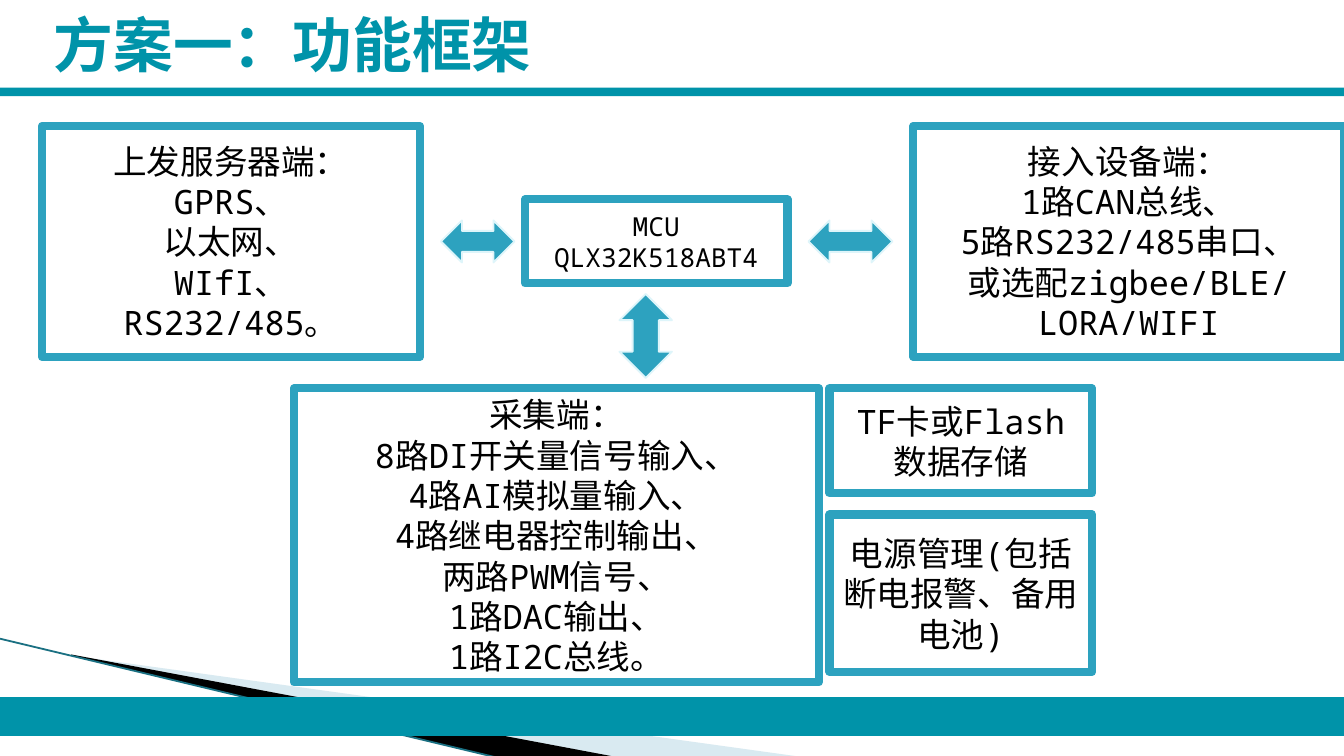
from typing import NamedTuple

from lxml.etree import SubElement
from pptx import Presentation
from pptx.dml.color import RGBColor
from pptx.enum.shapes import MSO_CONNECTOR as Link, MSO_SHAPE as Kind
from pptx.enum.text import MSO_ANCHOR as Anchor, MSO_AUTO_SIZE as Fit, PP_ALIGN as Align
from pptx.oxml.ns import qn
from pptx.util import Inches, Pt

WIDE, HIGH = Inches(10), Inches(5.625)
COLS, ROWS = 128, 72
TEAL = RGBColor(0x00, 0x93, 0xA9)
BLUE = RGBColor(0x2D, 0xA2, 0xBF)
PALE = RGBColor(0xDE, 0xF5, 0xFA)
MIST = RGBColor(0xA0, 0xCB, 0xDC)
EDGE = RGBColor(0x1A, 0x70, 0x82)
BLACK = RGBColor(0, 0, 0)
WHITE = RGBColor(255, 255, 255)


class Area(NamedTuple):
    """A place on the grid, in columns and rows."""
    col: float
    row: float
    cols: float
    rows: float

    def emu(self) -> list[int]:
        return [int(n) for n in (self.col * WIDE / COLS, self.row * HIGH / ROWS,
                                 self.cols * WIDE / COLS, self.rows * HIGH / ROWS)]


class Box(NamedTuple):
    area: Area
    text: str
    size: int = 18


class Arrow(NamedTuple):
    area: Area
    kind: Kind


class Wedge(NamedTuple):
    """Corner points in inches, with fill and opacity in percent."""
    points: list[tuple[float, float]]
    color: RGBColor
    alpha: int


WEDGES = [
    Wedge([(0.55, 4.88), (5.95, 5.63), (4.56, 5.63)], MIST, 40),
    Wedge([(0.53, 4.87), (4.57, 5.63), (3.72, 5.64), (0.54, 4.88)], BLACK, 100),
]
BARS = [Area(0, 8.35, COLS, 0.8), Area(0, 66.4, COLS, 3.7)]
BOXES = [
    Box(Area(50, 19, 25, 8), "MCU\nQLX32K518ABT4", 14),
    Box(Area(79, 49, 25, 15), "电源管理(包括断电报警、备用电池)"),
    Box(Area(79, 37, 25, 10), "TF卡或Flash数据存储"),
    Box(Area(4, 12, 36, 22), "上发服务器端：\nGPRS、\n以太网、\nWIfI、\nRS232/485。"),
    Box(Area(87, 12, 41, 22),
        "接入设备端：\n1路CAN总线、\n5路RS232/485串口、\n或选配zigbee/BLE/LORA/WIFI"),
    Box(Area(28, 37, 50, 28),
        "采集端：\n8路DI开关量信号输入、\n4路AI模拟量输入、\n4路继电器控制输出、\n"
        "两路PWM信号、\n1路DAC输出、\n1路I2C总线。"),
]
ARROWS = [
    Arrow(Area(42, 21, 7, 4), Kind.LEFT_RIGHT_ARROW),
    Arrow(Area(77, 21, 8, 4), Kind.LEFT_RIGHT_ARROW),
    Arrow(Area(59, 28, 5, 8), Kind.UP_DOWN_ARROW),
]


def paint(shape, fill: RGBColor, line: RGBColor | None = None, width: float = 1) -> None:
    shape.shadow.inherit = False
    shape.fill.solid()
    shape.fill.fore_color.rgb = fill
    if line is None:
        shape.line.fill.background()
    else:
        shape.line.color.rgb = line
        shape.line.width = Pt(width)


def add_wedge(slide, wedge: Wedge) -> None:
    start, *rest = [(Inches(x), Inches(y)) for x, y in wedge.points]
    pen = slide.shapes.build_freeform(*start)
    pen.add_line_segments(rest, close=True)
    shape = pen.convert_to_shape()
    paint(shape, wedge.color)
    if wedge.alpha < 100:
        color = shape._element.spPr.find(qn("a:solidFill"))[0]
        SubElement(color, qn("a:alpha"), val=str(wedge.alpha * 1000))


def add_edge(slide) -> None:
    """Draw the thin line along the corner wedges."""
    edge = slide.shapes.add_connector(
        Link.STRAIGHT, Inches(-0.01), Inches(4.75), Inches(3.71), Inches(5.64))
    edge.line.color.rgb = EDGE
    edge.line.width = Pt(0.95)
    SubElement(edge._element.spPr, qn("a:effectLst"))


def set_title(slide, text: str) -> None:
    title = slide.shapes.title
    title.left, title.top, title.width, title.height = Area(5.1, 1.4, 98.8, 6.4).emu()
    frame = title.text_frame
    frame.text = text
    frame.auto_size = Fit.NONE
    frame.vertical_anchor = Anchor.MIDDLE
    frame.margin_left = frame.margin_right = frame.margin_top = frame.margin_bottom = 0
    para = frame.paragraphs[0]
    para.alignment = Align.LEFT
    para.line_spacing = 0.9
    font = para.runs[0].font
    font.name, font.size, font.bold = "DejaVu Sans", Pt(32), True
    font.color.rgb = TEAL


def add_box(slide, box: Box) -> None:
    shape = slide.shapes.add_shape(Kind.RECTANGLE, *box.area.emu())
    paint(shape, WHITE, BLUE, 4.33)
    frame = shape.text_frame
    frame.text = box.text
    frame.word_wrap = True
    frame.vertical_anchor = Anchor.MIDDLE
    for para in frame.paragraphs:
        para.alignment = Align.CENTER
        font = para.runs[0].font
        font.name, font.size = "Noto Sans Mono", Pt(box.size)
        font.color.rgb = BLACK


def main() -> None:
    deck = Presentation()
    deck.slide_width, deck.slide_height = WIDE, HIGH
    slide = deck.slides.add_slide(deck.slide_layouts[5])
    for wedge in WEDGES:
        add_wedge(slide, wedge)
    add_edge(slide)
    for bar in BARS:
        paint(slide.shapes.add_shape(Kind.RECTANGLE, *bar.emu()), TEAL)
    set_title(slide, "方案一：功能框架")
    for box in BOXES:
        add_box(slide, box)
    for arrow in ARROWS:
        paint(slide.shapes.add_shape(arrow.kind, *arrow.area.emu()), BLUE, PALE)
    deck.save("out.pptx")


if __name__ == "__main__":
    main()
